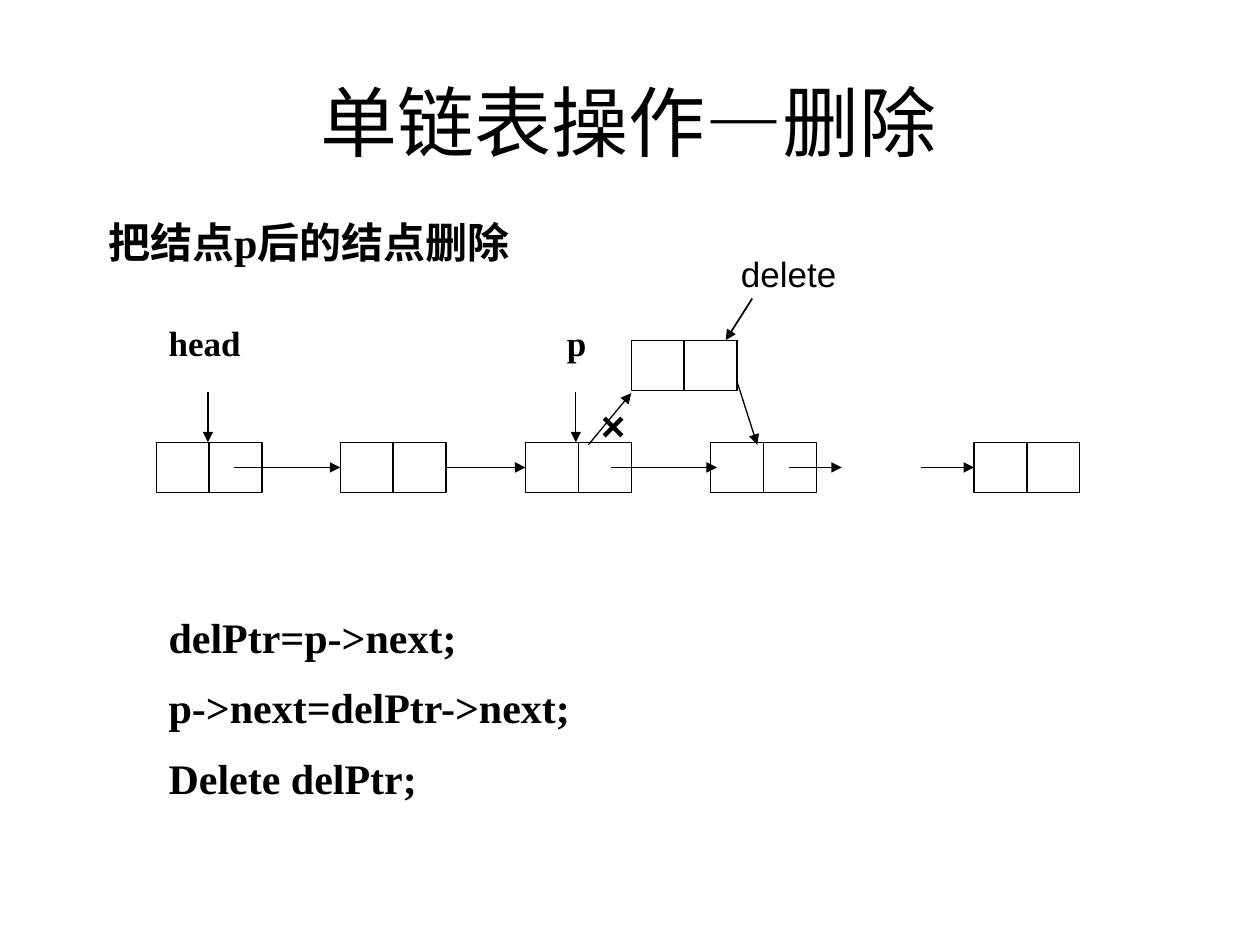
from dataclasses import dataclass

from lxml.etree import SubElement
from pptx import Presentation
from pptx.dml.color import RGBColor
from pptx.enum.shapes import MSO_CONNECTOR, MSO_SHAPE
from pptx.enum.text import MSO_ANCHOR, MSO_AUTO_SIZE, PP_ALIGN
from pptx.oxml.ns import qn
from pptx.util import Inches, Pt


@dataclass(frozen=True)
class Theme:
    ink: RGBColor = RGBColor(0, 0, 0)
    title_font: str = "Calibri"
    body_font: str = "Times New Roman"
    mark_font: str = "Arial"
    title_size: int = 44
    body_size: int = 24
    label_size: int = 20
    thin: float = 0.75
    medium: float = 1


TOP, LEFT, RIGHT = 0, 1, 3  # connection sites; TOP completes the rectangle's order
CELL_W, CELL_H = 0.42, 0.4
LIST_TOP = 3.51
LIST_MID = LIST_TOP + CELL_H / 2


class ListSlide:
    def __init__(self, presentation, theme):
        self.theme = theme
        self.slide = presentation.slides.add_slide(presentation.slide_layouts[6])

    def text(self, lines, left, top, width, height, font, frame=None, paragraph=None):
        box = self.slide.shapes.add_textbox(*map(Inches, (left, top, width, height)))
        frame_format = {"word_wrap": True, "auto_size": MSO_AUTO_SIZE.NONE} | (frame or {})
        for name, value in frame_format.items():
            setattr(box.text_frame, name, value)
        for index, line in enumerate(lines):
            part = box.text_frame.add_paragraph() if index else box.text_frame.paragraphs[0]
            part.text = line
            for name, value in (paragraph or {}).items():
                setattr(part, name, value)
            for name, value in font.items():
                setattr(part.font, name, value)
            part.font.color.rgb = self.theme.ink

    def node(self, left, top=LIST_TOP):
        """Draw a data cell and a pointer cell side by side and return both."""
        return [self.cell(left + i * CELL_W, top) for i in range(2)]

    def cell(self, left, top):
        cell = self.slide.shapes.add_shape(
            MSO_SHAPE.RECTANGLE, *map(Inches, (left, top, CELL_W, CELL_H)))
        cell.shadow.inherit = False
        cell.fill.background()
        cell.line.color.rgb = self.theme.ink
        cell.line.width = Pt(self.theme.thin)
        return cell

    def arrow(self, start, end, width=None, source=None, target=None):
        """Draw an arrow, joined to the source's right and the target's left side."""
        arrow = self.slide.shapes.add_connector(
            MSO_CONNECTOR.STRAIGHT, *map(Inches, (*start, *end)))
        if source is not None:
            arrow.begin_connect(source, RIGHT)
        if target is not None:
            arrow.end_connect(target, LEFT)
        arrow.line.color.rgb = self.theme.ink
        arrow.line.width = Pt(width or self.theme.thin)
        SubElement(arrow.line._get_or_add_ln(), qn("a:tailEnd"), type="triangle")
        SubElement(arrow._element.spPr, qn("a:effectLst"))


def main():
    presentation = Presentation()
    presentation.slide_width, presentation.slide_height = Inches(10), Inches(7.5)
    theme = Theme()
    page = ListSlide(presentation, theme)

    title = {"name": theme.title_font, "size": Pt(theme.title_size)}
    body = {"name": theme.body_font, "size": Pt(theme.body_size), "bold": True}
    pointer = body | {"size": Pt(theme.label_size)}
    action = {"name": theme.mark_font, "size": Pt(theme.label_size)}
    cross = body | {"name": theme.mark_font}
    grow = {"auto_size": MSO_AUTO_SIZE.SHAPE_TO_FIT_TEXT}
    middle = {"vertical_anchor": MSO_ANCHOR.MIDDLE}
    centred = {"alignment": PP_ALIGN.CENTER}

    page.text(["单链表操作—删除"], 0.74, 0.33, 8.5, 1.25, title, middle, centred)
    page.text(["把结点p后的结点删除"], 0.76, 1.67, 4.25, 0.5, body, grow)

    first, second, current, following, last = [
        page.node(left) for left in (1.24, 2.7, 4.17, 5.64, 7.73)]
    page.node(5.01, 2.7)  # the node being deleted

    for start, end, source, target in (
        (1.86, 2.7, None, second[0]),
        (3.54, 4.17, second[1], current[0]),
        (4.85, 5.69, None, None),
        (6.26, 6.68, None, None),
        (7.31, 7.73, None, last[0]),
    ):
        page.arrow((start, LIST_MID), (end, LIST_MID), source=source, target=target)

    for name, left, width, tip in (("head", 1.24, 1.05, 1.65), ("p", 4.4, 0.58, 4.57)):
        page.text([name], left, 2.5, width, 0.61, pointer,
                  paragraph={"alignment": PP_ALIGN.JUSTIFY})
        page.arrow((tip, 3.11), (tip, LIST_TOP))

    page.arrow((5.85, 3.03), (6.01, 3.53))
    page.arrow((4.67, 3.53), (5.01, 3.12))
    page.text(["delete"], 5.76, 1.97, 1, 0.4, action, middle | {"word_wrap": False}, centred)
    page.arrow((5.97, 2.37), (5.76, 2.7), theme.medium)
    page.text(["×"], 4.67, 3.12, 0.42, 0.5, cross, grow)

    page.text(["delPtr=p->next;", "p->next=delPtr->next;", "Delete delPtr;"],
              1.24, 4.64, 4, 1.78, body, grow, {"line_spacing": 1.4})

    presentation.save("out.pptx")


if __name__ == "__main__":
    main()
